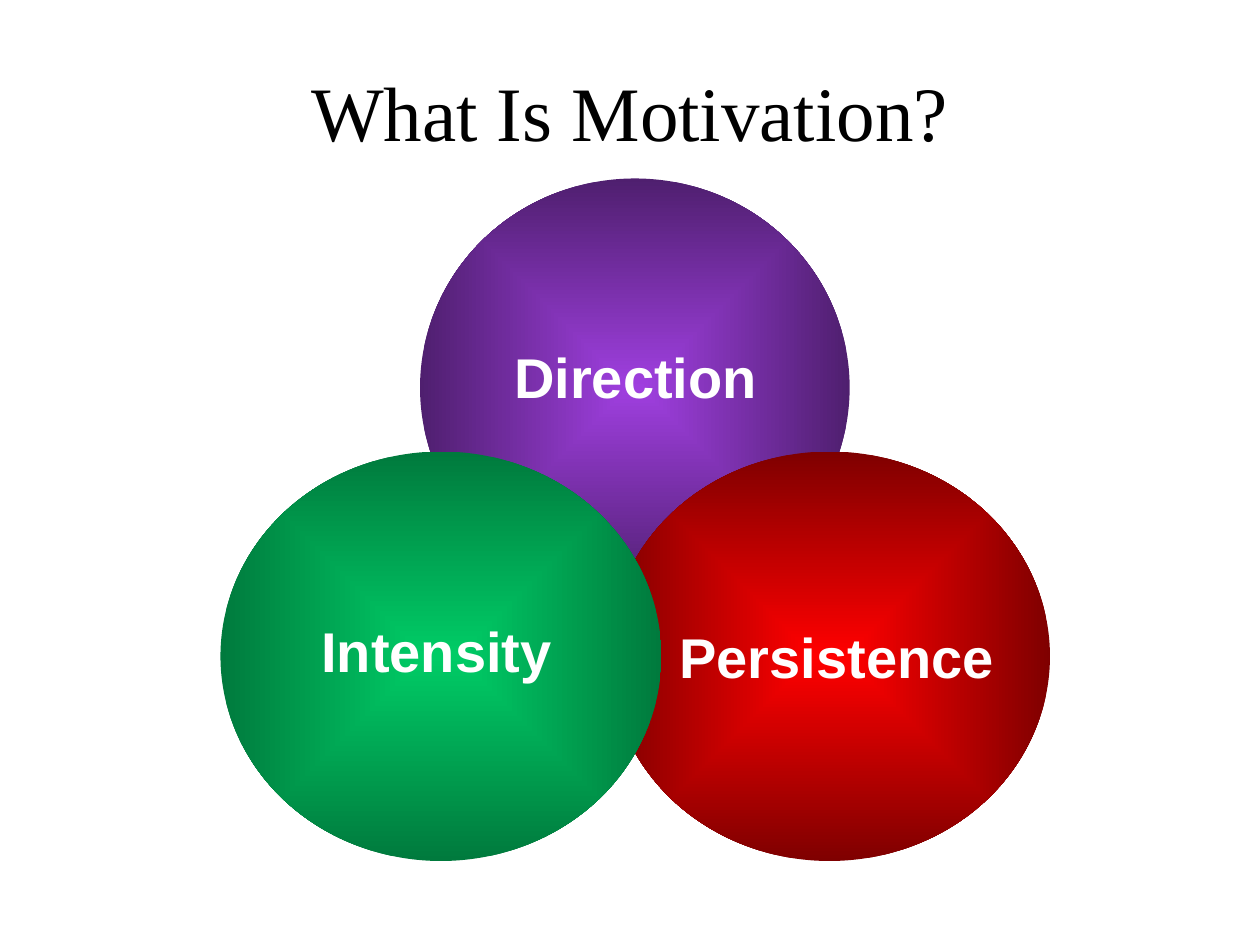
from dataclasses import dataclass

from lxml import etree
from pptx import Presentation
from pptx.dml.color import RGBColor
from pptx.enum.shapes import MSO_SHAPE
from pptx.enum.text import MSO_ANCHOR, MSO_AUTO_SIZE, PP_ALIGN
from pptx.oxml.ns import qn
from pptx.util import Pt


@dataclass(frozen=True)
class Theme:
    title_font: str = "Times New Roman"
    title_size: int = 44
    title_color: str = "000000"
    label_font: str = "Arial"
    label_size: int = 32
    label_color: str = "FFFFFF"
    # Gradient colours: centre, edge
    purple: tuple = ("9F3FDF", "4F1F6F")
    red: tuple = ("FF0000", "7F0000")
    green: tuple = ("00CC66", "007A3D")


class SlideBuilder:
    def __init__(self, slide, theme):
        self.slide = slide
        self.theme = theme

    def format_text(self, frame, text, font, size, color, bold=False):
        frame.text = text
        frame.vertical_anchor = MSO_ANCHOR.MIDDLE
        paragraph = frame.paragraphs[0]
        paragraph.alignment = PP_ALIGN.CENTER
        style = paragraph.runs[0].font
        style.name = font
        style.size = Pt(size)
        style.bold = bold
        style.color.rgb = RGBColor.from_string(color)

    def title(self, text, left, top, width, height):
        heading = self.slide.shapes.title
        heading.left, heading.top = Pt(left), Pt(top)
        heading.width, heading.height = Pt(width), Pt(height)
        theme = self.theme
        self.format_text(heading.text_frame, text, theme.title_font,
                         theme.title_size, theme.title_color)

    def circle(self, shapes, box, colors):
        ellipse = shapes.add_shape(MSO_SHAPE.OVAL, *map(Pt, box))
        ellipse.shadow.inherit = False
        ellipse.line.fill.background()
        ellipse.fill.gradient()
        for stop, color in zip(ellipse.fill.gradient_stops, colors):
            stop.color.rgb = RGBColor.from_string(color)

        # Rectangular gradient radiating from the centre
        gradient = ellipse.fill._xPr.find(qn("a:gradFill"))
        linear = gradient.find(qn("a:lin"))
        radial = etree.Element(qn("a:path"), {"path": "rect"})
        center = dict.fromkeys("ltrb", "50000")
        etree.SubElement(radial, qn("a:fillToRect"), center)
        gradient.replace(linear, radial)

    def label(self, shapes, text, box):
        caption = shapes.add_textbox(*map(Pt, box))
        frame = caption.text_frame
        frame.word_wrap = False
        theme = self.theme
        self.format_text(frame, text, theme.label_font, theme.label_size,
                         theme.label_color, bold=True)
        frame.auto_size = MSO_AUTO_SIZE.SHAPE_TO_FIT_TEXT

    def component(self, text, colors, circle_box, label_box):
        group = self.slide.shapes.add_group_shape()
        self.circle(group.shapes, circle_box, colors)
        self.label(group.shapes, text, label_box)


def main():
    presentation = Presentation()
    presentation.slide_width, presentation.slide_height = Pt(720), Pt(540)
    slide = presentation.slides.add_slide(presentation.slide_layouts[5])
    theme = Theme()
    builder = SlideBuilder(slide, theme)

    # Heading
    builder.title("What Is Motivation?", 36, 24, 648, 78)

    # Overlapping components of motivation, from back to front
    components = [
        ("Direction", theme.purple, (240, 102, 245.5, 239), (286.5, 192, 153.5, 45.5)),
        ("Persistence", theme.red, (348, 258, 252, 234), (381, 352, 194.5, 45.5)),
        ("Intensity", theme.green, (126, 258, 252, 234), (176.5, 348.5, 146, 45.5)),
    ]
    for component in components:
        builder.component(*component)

    presentation.save("out.pptx")


if __name__ == "__main__":
    main()
